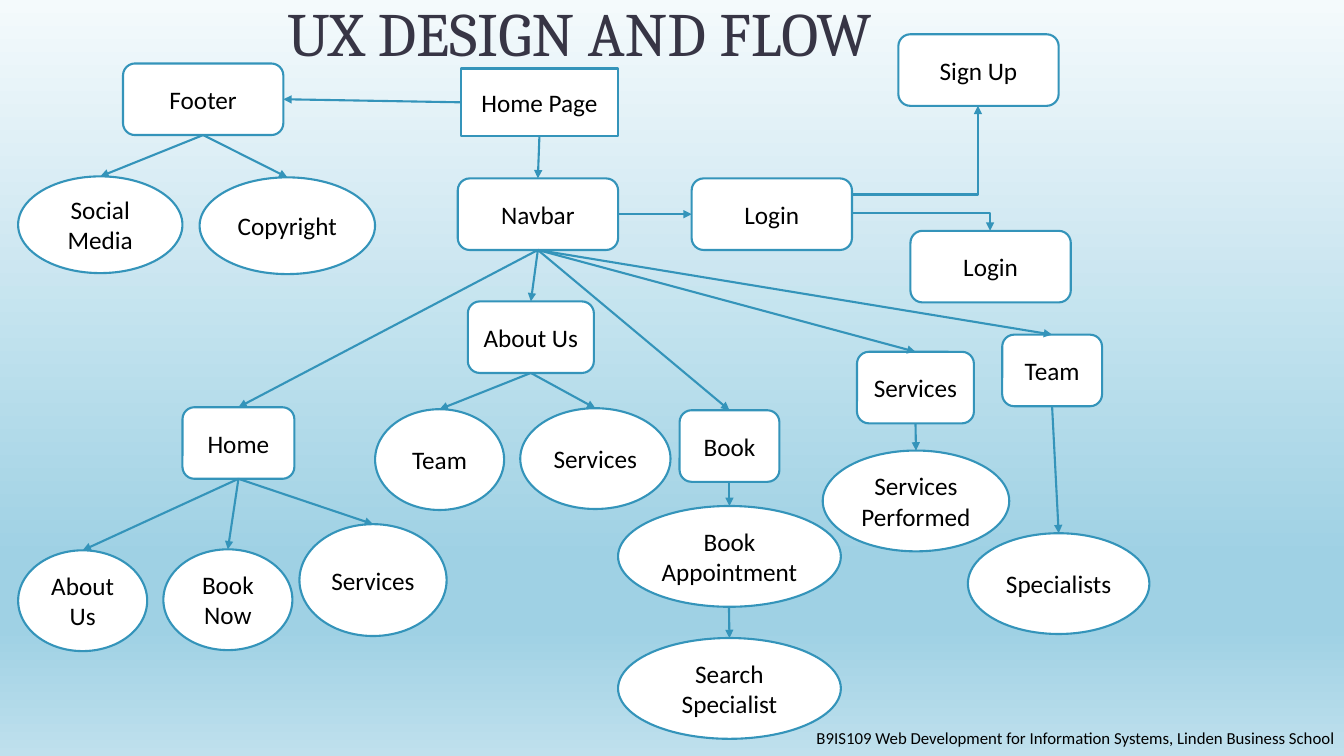
from dataclasses import dataclass

from lxml import etree
from pptx import Presentation
from pptx.dml.color import RGBColor
from pptx.enum.shapes import MSO_CONNECTOR, MSO_SHAPE
from pptx.enum.text import MSO_ANCHOR, MSO_AUTO_SIZE, PP_ALIGN
from pptx.oxml.ns import qn
from pptx.shapes.autoshape import Shape
from pptx.shapes.connector import Connector
from pptx.slide import Slide
from pptx.text.text import TextFrame
from pptx.util import Emu, Pt

RECT, ROUND, OVAL = MSO_SHAPE.RECTANGLE, MSO_SHAPE.ROUNDED_RECTANGLE, MSO_SHAPE.OVAL
LINE, ELBOW = MSO_CONNECTOR.STRAIGHT, MSO_CONNECTOR.ELBOW
CENTER, LEFT = PP_ALIGN.CENTER, PP_ALIGN.LEFT
TOP_TEXT, MIDDLE = MSO_ANCHOR.TOP, MSO_ANCHOR.MIDDLE
NO_FIT = MSO_AUTO_SIZE.NONE
TOP, WEST, BOTTOM, EAST = range(4)
SCALE = 9144
BLUE, WHITE, BLACK, SLATE = "3494BA", "FFFFFF", "000000", "373545"
STOPS = ((0, "F4FAFC"), (74, "9FD1E4"), (83, "9FD1E4"), (100, "BFE0ED"))


@dataclass(frozen=True)
class Node:
    """A labelled box or oval of the flow, in px."""

    key: str
    text: str
    left: int
    top: int
    width: int
    height: int = 71
    kind: MSO_SHAPE = ROUND

    def side(self, site: int) -> tuple[int, int]:
        """Return the middle of one side."""
        mid, half = self.left + self.width // 2, self.top + self.height // 2
        return ((mid, self.top), (self.left, half),
                (mid, self.top + self.height), (self.left + self.width, half))[site]


@dataclass(frozen=True)
class Link:
    """A straight arrow between two nodes."""

    start: str
    end: str
    leave: int = BOTTOM
    enter: int = TOP


@dataclass(frozen=True)
class Bend:
    """An arrow that turns one corner."""

    start: tuple[int, int]
    end: tuple[int, int]


NODES = (
    Node("footer", "Footer", 122, 63, 159),
    Node("social", "Social Media", 18, 175, 163, 96, OVAL),
    Node("rights", "Copyright", 198, 176, 174, 96, OVAL),
    Node("page", "Home Page", 457, 68, 156, 67, RECT),
    Node("navbar", "Navbar", 454, 177, 159),
    Node("login", "Login", 686, 177, 159),
    Node("sign up", "Sign Up", 891, 34, 159),
    Node("log form", "Login", 903, 229, 159),
    Node("home", "Home", 181, 404, 111),
    Node("about", "About Us", 464, 299, 125),
    Node("book", "Book", 674, 407, 99),
    Node("services", "Services", 850, 349, 116),
    Node("team", "Team", 994, 332, 99),
    Node("home about", "About Us", 18, 546, 128, 100, OVAL),
    Node("home book", "Book Now", 162, 545, 128, 100, OVAL),
    Node("home services", "Services", 297, 520, 146, 111, OVAL),
    Node("about team", "Team", 372, 406, 128, 100, OVAL),
    Node("about services", "Services", 516, 405, 149, 100, OVAL),
    Node("visit", "Book Appointment", 613, 502, 221, 100, OVAL),
    Node("search", "Search Specialist", 613, 633, 221, 100, OVAL),
    Node("work", "Services\nPerformed", 816, 447, 185, 100, OVAL),
    Node("staff", "Specialists", 960, 529, 180, 100, OVAL),
)
TREE = {
    "footer": ("social", "rights"),
    "page": ("navbar",),
    "navbar": ("home", "about", "book", "services", "team"),
    "home": ("home about", "home book", "home services"),
    "about": ("about team", "about services"),
    "book": ("visit",),
    "visit": ("search",),
    "services": ("work",),
    "team": ("staff",),
}
LINKS = tuple(Link(start, end) for start, ends in TREE.items() for end in ends) + (
    Link("page", "footer", WEST, EAST),
    Link("navbar", "login", EAST, WEST),
)
BENDS = (Bend((844, 193), (970, 105)), Bend((845, 211), (982, 229)))


def px(size: int) -> Emu:
    """Turn px into EMU."""
    return Emu(size * SCALE)


def color(code: str) -> RGBColor:
    """Turn a hex string into a colour."""
    return RGBColor.from_string(code)


def style(frame: TextFrame, size: int, face: str = "Calibri", ink: str = BLACK,
          align: PP_ALIGN = CENTER, anchor: MSO_ANCHOR = MIDDLE) -> None:
    """Format every paragraph of a text frame."""
    frame.word_wrap = True
    frame.auto_size = NO_FIT
    frame.vertical_anchor = anchor
    for para in frame.paragraphs:
        para.alignment = align
        para.font.size = Pt(size)
        para.font.name = face
        para.font.color.rgb = color(ink)


def paint(slide: Slide) -> None:
    """Fill the background with the vertical gradient."""
    fill = slide.background.fill
    fill.gradient()
    fill.gradient_angle = 270
    stops = slide.element.find(".//" + qn("a:gsLst"))
    for old in list(stops):
        stops.remove(old)
    for place, code in STOPS:
        stop = etree.SubElement(stops, qn("a:gs"), pos=str(place * 1000))
        etree.SubElement(stop, qn("a:srgbClr"), val=code)


def head(slide: Slide) -> None:
    """Place the title."""
    title = slide.shapes.title
    title.left, title.top, title.width, title.height = map(px, (-25, 10, 1200, 67))
    title.text_frame.text = "UX DESIGN AND FLOW"
    style(title.text_frame, 44, "Cambria", SLATE, anchor=TOP_TEXT)
    title.text_frame.paragraphs[0].line_spacing = 0.7


def credit(slide: Slide) -> None:
    """Place the course line at the foot."""
    box = slide.shapes.add_textbox(*map(px, (800, 715, 550, 33)))
    box.text_frame.text = ("B9IS109 Web Development for Information Systems, "
                           "Linden Business School")
    style(box.text_frame, 12, align=LEFT)


def draw(slide: Slide, node: Node) -> Shape:
    """Draw one node."""
    shape = slide.shapes.add_shape(
        node.kind, *map(px, (node.left, node.top, node.width, node.height)))
    shape.shadow.inherit = False
    shape.fill.solid()
    shape.fill.fore_color.rgb = color(WHITE)
    shape.line.color.rgb = color(BLUE)
    shape.line.width = Pt(1.5)
    shape.text_frame.text = node.text
    style(shape.text_frame, 18)
    return shape


def arrow(slide: Slide, kind: MSO_CONNECTOR, start: tuple[int, int],
          end: tuple[int, int]) -> Connector:
    """Draw one arrow."""
    line = slide.shapes.add_connector(kind, *map(px, start + end))
    line.line.color.rgb = color(BLUE)
    line.line.width = Pt(1.5)
    etree.SubElement(line.line._get_or_add_ln(), qn("a:tailEnd"), type="triangle")
    etree.SubElement(line.element.spPr, qn("a:effectLst"))
    return line


def main() -> None:
    """Build the slide and save it."""
    deck = Presentation()
    deck.slide_width, deck.slide_height = px(1333), px(750)
    slide = deck.slides.add_slide(deck.slide_layouts[5])
    paint(slide)
    head(slide)
    credit(slide)
    nodes = {node.key: node for node in NODES}
    shapes = {node.key: draw(slide, node) for node in NODES}
    for link in LINKS:
        start, end = nodes[link.start], nodes[link.end]
        line = arrow(slide, LINE, start.side(link.leave), end.side(link.enter))
        if start.kind != OVAL:
            line.begin_connect(shapes[link.start], link.leave)
        line.end_connect(shapes[link.end], link.enter)
    for bend in BENDS:
        line = arrow(slide, ELBOW, bend.start, bend.end)
        line.element.spPr.find(qn("a:prstGeom")).set("prst", "bentConnector2")
    deck.save("out.pptx")


if __name__ == "__main__":
    main()
